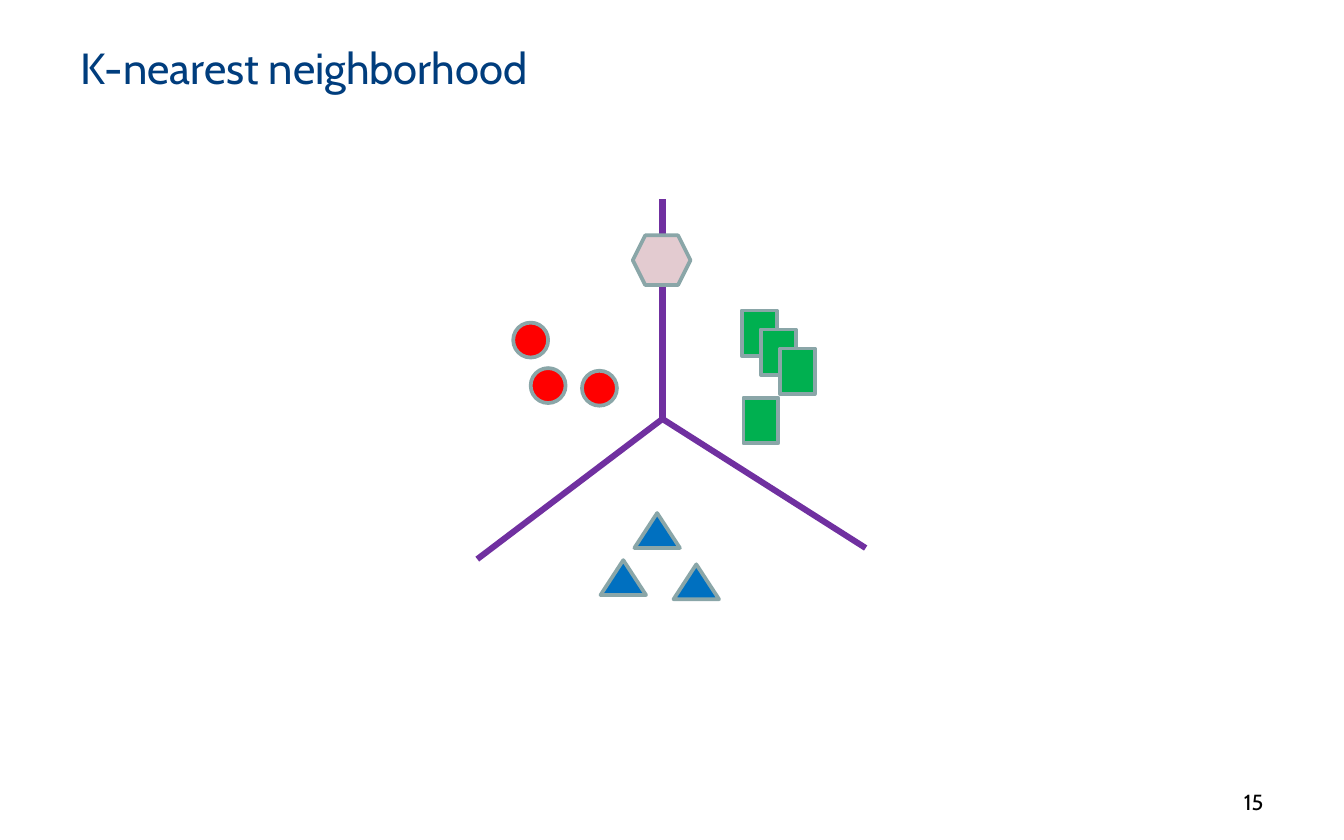
from dataclasses import dataclass

from pptx import Presentation
from pptx.dml.color import RGBColor
from pptx.enum.shapes import MSO_CONNECTOR, MSO_SHAPE
from pptx.enum.text import MSO_ANCHOR, PP_ALIGN
from pptx.oxml.ns import qn
from pptx.slide import Slide
from pptx.util import Cm, Pt

Point = tuple[float, float]


@dataclass
class Group:
    """Marks of one class: same form, fill and size, at many spots (cm)."""
    form: MSO_SHAPE
    fill: str
    size: Point
    spots: list[Point]


@dataclass
class Label:
    text: str
    box: tuple[float, float, float, float]
    size: float
    color: str
    align: PP_ALIGN
    anchor: MSO_ANCHOR


FONT = "Cabin"
EDGE = "8AA6A8"
BORDER = "7030A0"

# Class borders run from the hub to three ends
HUB = (12.52, 7.92)
ENDS = [(12.52, 3.76), (9.02, 10.57), (16.36, 10.36)]

STEP = 0.36
STACK = [(14.02 + STEP * i, 5.87 + STEP * i) for i in range(3)]

GROUPS = [
    Group(MSO_SHAPE.OVAL, "FF0000", (0.66, 0.66),
          [(9.7, 6.1), (10.03, 6.96), (11, 7.01)]),
    Group(MSO_SHAPE.RECTANGLE, "00B050", (0.66, 0.86),
          STACK + [(14.05, 7.52)]),
    Group(MSO_SHAPE.ISOSCELES_TRIANGLE, "0070C0", (0.86, 0.66),
          [(11.35, 10.59), (12.73, 10.67), (11.99, 9.7)]),
    Group(MSO_SHAPE.HEXAGON, "E3CBD0", (1.09, 0.94), [(11.96, 4.45)]),
]

LABELS = [
    Label("K-nearest neighborhood", (1.27, -0.05, 22.86, 2.64), 23.3,
          "003D7D", PP_ALIGN.LEFT, MSO_ANCHOR.MIDDLE),
    Label("15", (18.21, 14.78, 5.92, 0.79), 11.7,
          "000000", PP_ALIGN.RIGHT, MSO_ANCHOR.TOP),
]


def color(code: str) -> RGBColor:
    return RGBColor.from_string(code)


def add_label(slide: Slide, label: Label) -> None:
    frame = slide.shapes.add_textbox(*map(Cm, label.box)).text_frame
    frame.word_wrap = True
    frame.vertical_anchor = label.anchor
    para = frame.paragraphs[0]
    para.alignment = label.align
    run = para.add_run()
    run.text = label.text
    run.font.name = FONT
    run.font.size = Pt(label.size)
    run.font.color.rgb = color(label.color)


def add_border(slide: Slide, end: Point) -> None:
    line = slide.shapes.add_connector(
        MSO_CONNECTOR.STRAIGHT, *map(Cm, HUB + end))
    line.line.color.rgb = color(BORDER)
    line.line.width = Pt(3.25)
    # An empty effect list turns the shadow off
    props = line._element.spPr
    props.append(props.makeelement(qn("a:effectLst"), {}))


def add_group(slide: Slide, group: Group) -> None:
    for spot in group.spots:
        mark = slide.shapes.add_shape(
            group.form, *map(Cm, spot + group.size))
        mark.shadow.inherit = False
        mark.fill.solid()
        mark.fill.fore_color.rgb = color(group.fill)
        mark.line.color.rgb = color(EDGE)
        mark.line.width = Pt(2)


def main() -> None:
    deck = Presentation()
    deck.slide_width, deck.slide_height = Cm(25.4), Cm(15.88)
    slide = deck.slides.add_slide(deck.slide_layouts[6])

    # Title and page number
    for label in LABELS:
        add_label(slide, label)

    # Borders first, so that the marks lie on top
    for end in ENDS:
        add_border(slide, end)
    for group in GROUPS:
        add_group(slide, group)

    deck.save("out.pptx")


if __name__ == "__main__":
    main()
